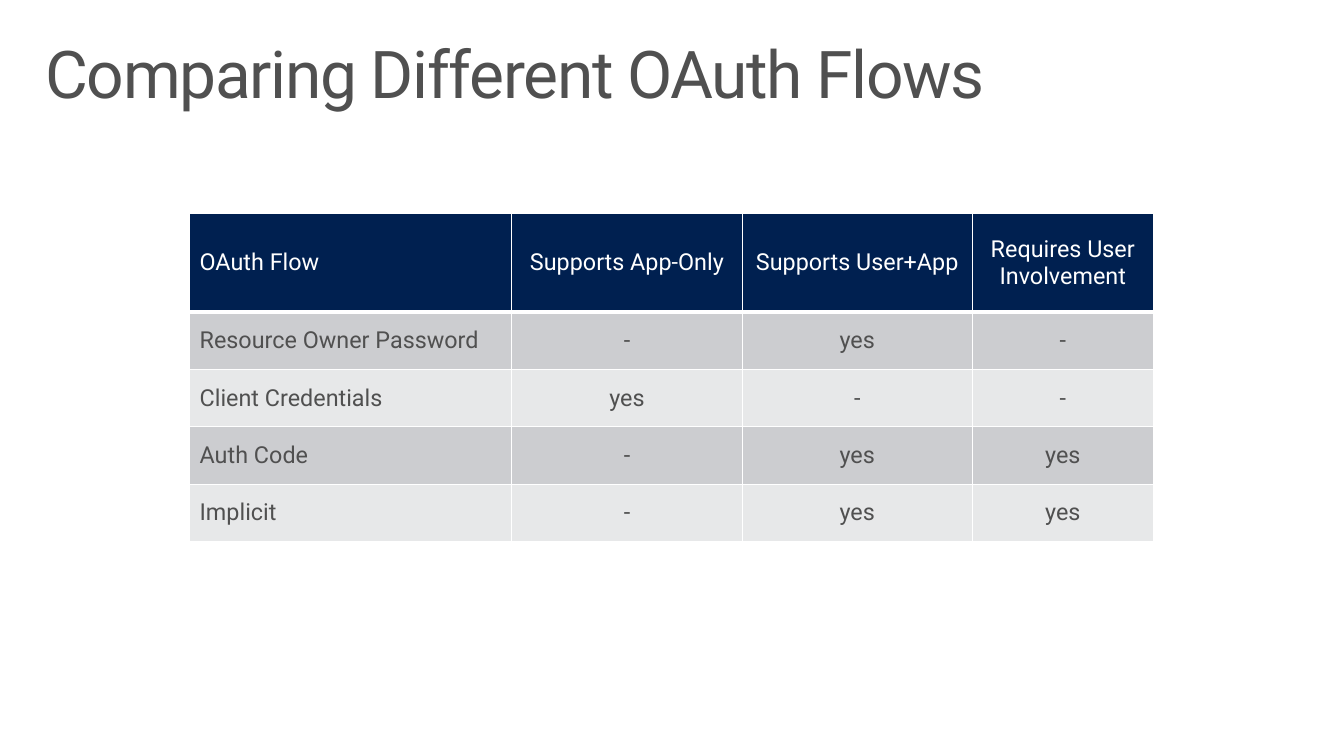
from pptx import Presentation
from pptx import util as u
from pptx.dml import color
from pptx.enum import text
from pptx.oxml import parse_xml
from pptx.oxml import ns

PX = u.Inches(1) // 100
FONT = "Roboto"
COLORS = {
    "text": "505050",
    "white": "FFFFFF",
    "header": "002050",
    "odd_row": "CCCDD0",
    "even_row": "E7E8E9",
}


def write_text(frame, content, size, ink="text", align=text.PP_ALIGN.LEFT, line_spacing=None, tracking=None):
    frame.word_wrap = True
    paragraph = frame.paragraphs[0]
    paragraph.alignment = align
    paragraph.line_spacing = line_spacing
    run = paragraph.add_run()
    run.text = content
    run.font.name = FONT
    run.font.size = u.Pt(size)
    run.font.color.rgb = color.RGBColor.from_string(COLORS[ink])
    if tracking is not None:
        run.font._element.set("spc", str(tracking * 100))


def add_border(cell, side, width):
    cell._tc.get_or_add_tcPr().append(parse_xml(
        f'<a:ln{side} {ns.nsdecls("a")} w="{u.Pt(width)}"><a:solidFill>'
        f'<a:srgbClr val="{COLORS["white"]}"/></a:solidFill></a:ln{side}>'))


presentation = Presentation()
presentation.slide_width = 1360 * PX
presentation.slide_height = 765 * PX
slide = presentation.slides.add_slide(presentation.slide_layouts[6])

title = slide.shapes.add_textbox(30 * PX, 32 * PX, 1300 * PX, 100 * PX)
title.text_frame.margin_left = title.text_frame.margin_right = 16 * PX
title.text_frame.margin_top = title.text_frame.margin_bottom = 10 * PX
write_text(title.text_frame, "Comparing Different OAuth Flows", 48, line_spacing=0.9, tracking=-1)

flows = [
    ["OAuth Flow", "Supports App-Only", "Supports User+App", "Requires User Involvement"],
    ["Resource Owner Password", "-", "yes", "-"],
    ["Client Credentials", "yes", "-", "-"],
    ["Auth Code", "-", "yes", "yes"],
    ["Implicit", "-", "yes", "yes"],
]
column_widths = [326, 233, 233, 183]
row_heights = [100] + [58] * 4

table = slide.shapes.add_table(
    len(row_heights), len(column_widths), 192 * PX, 216 * PX,
    sum(column_widths) * PX, sum(row_heights) * PX).table
table.first_row = False
table.horz_banding = False
for column, width in zip(table.columns, column_widths):
    column.width = width * PX

for row_index, (row, height) in enumerate(zip(table.rows, row_heights)):
    row.height = height * PX
    is_header = row_index == 0
    fill = "header" if is_header else "odd_row" if row_index % 2 else "even_row"
    for column_index, cell in enumerate(row.cells):
        for side in "LRTB":
            add_border(cell, side, 3 if is_header and side == "B" else 1)
        cell.fill.solid()
        cell.fill.fore_color.rgb = color.RGBColor.from_string(COLORS[fill])
        cell.vertical_anchor = text.MSO_ANCHOR.MIDDLE
        cell.margin_left = cell.margin_right = 10 * PX
        cell.margin_top = cell.margin_bottom = 5 * PX
        write_text(cell.text_frame, flows[row_index][column_index], 17,
                   ink="white" if is_header else "text",
                   align=text.PP_ALIGN.CENTER if column_index else text.PP_ALIGN.LEFT)

presentation.save("out.pptx")
